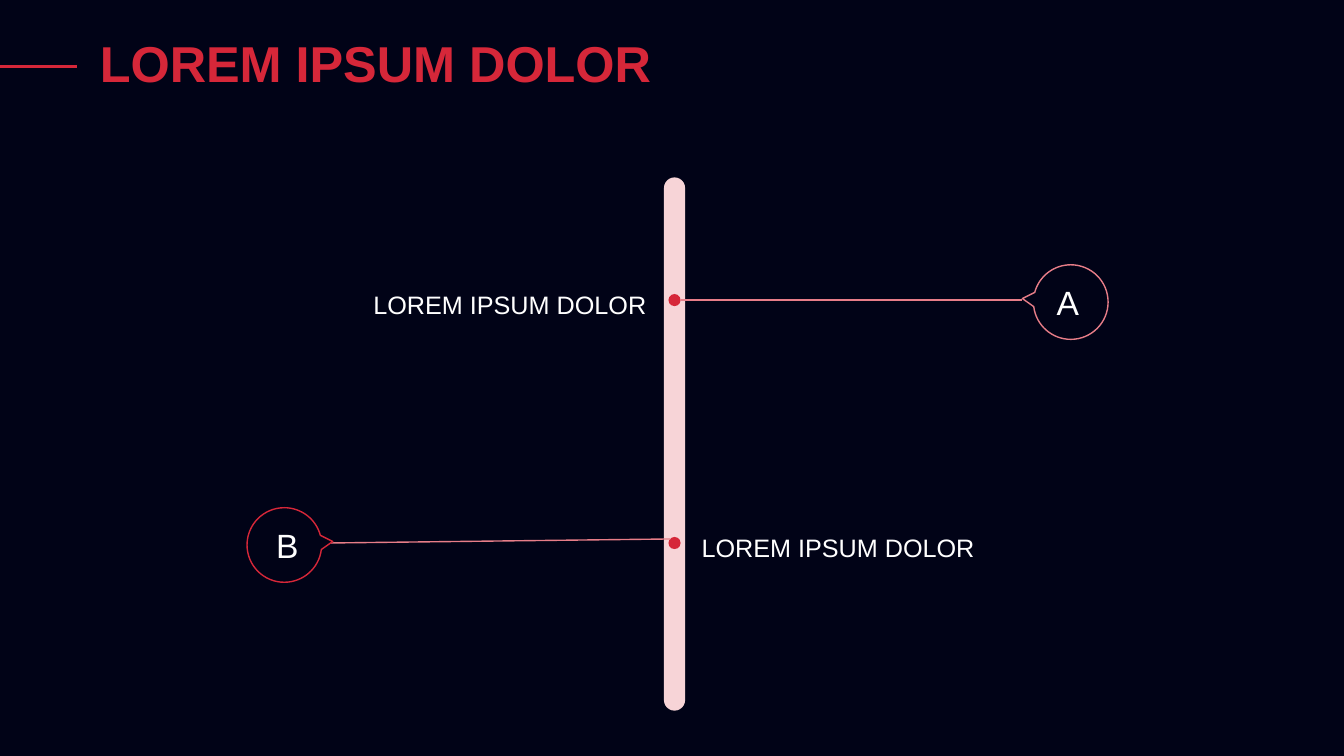
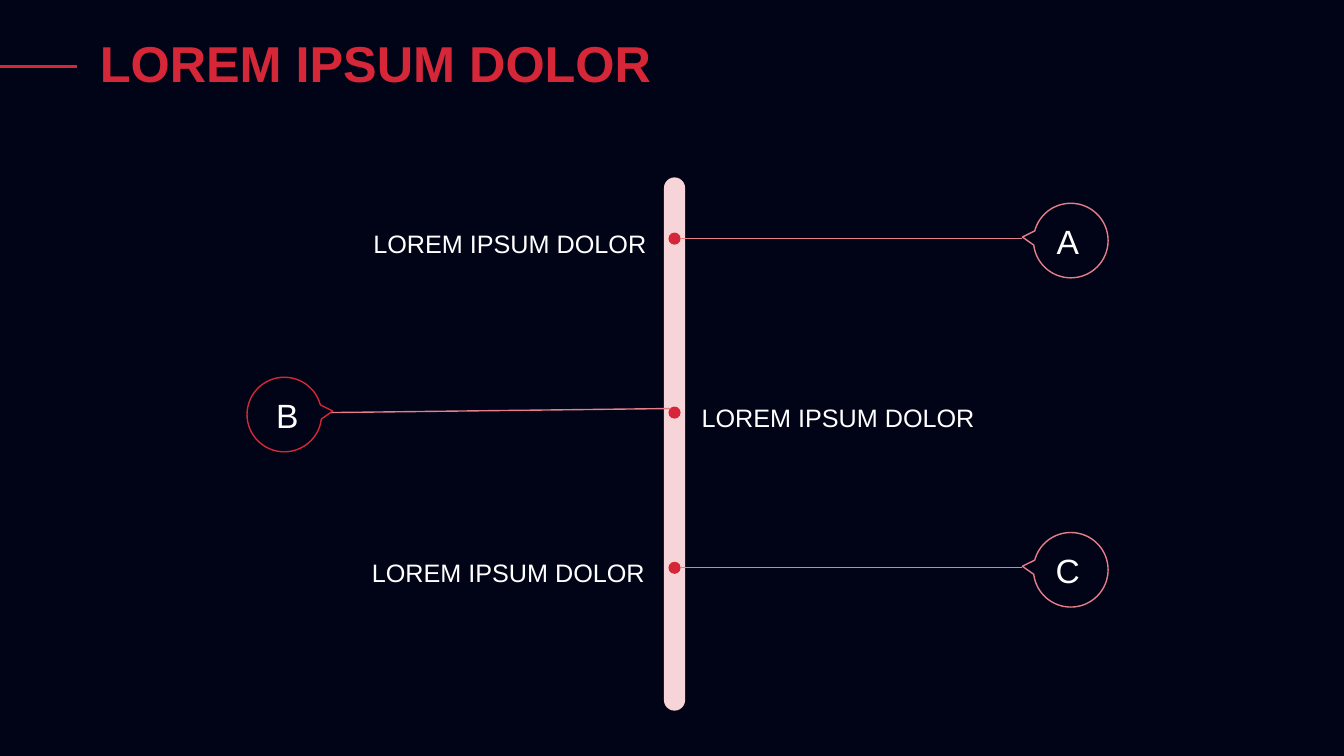
from dataclasses import dataclass
from itertools import pairwise
from math import cos, radians, sin, tan

from lxml import etree
from pptx import Presentation
from pptx.dml.color import RGBColor
from pptx.enum.shapes import MSO_CONNECTOR, MSO_SHAPE
from pptx.enum.text import MSO_ANCHOR, MSO_AUTO_SIZE, PP_ALIGN
from pptx.oxml.ns import qn
from pptx.util import Inches, Pt

STRAIGHT = MSO_CONNECTOR.STRAIGHT
OVAL, ROUNDED = MSO_SHAPE.OVAL, MSO_SHAPE.ROUNDED_RECTANGLE
MIDDLE, NO_FIT = MSO_ANCHOR.MIDDLE, MSO_AUTO_SIZE.NONE
LEFT, CENTER, RIGHT = PP_ALIGN.LEFT, PP_ALIGN.CENTER, PP_ALIGN.RIGHT

COLORS = {
    "night": "010317",
    "red": "D62739",
    "rose": "E77D88",
    "blush": "F7D4D7",
    "white": "FFFFFF",
}
FONT = "Arial"
TITLE = "LOREM IPSUM DOLOR"
LABEL = "LOREM IPSUM DOLOR"
TITLE_ONLY = 5

CELL = 0.1
SPINE_X, SPINE_TOP, SPINE_WIDTH, SPINE_HEIGHT = 66.9, 17.6, 2.1, 52.9
DOT_SIZE = 1.2
BUBBLE_RADIUS, BUBBLE_DROP = 3.7, 0.2
POINTER_REACH, POINTER_RISE = 4.8, 0.35
ARC_ANGLES = (195, 270, 360, 450, 533)
LABEL_WIDTH, LABEL_HEIGHT = 46.6, 8.8


@dataclass(frozen=True)
class Milestone:
    letter: str
    row: float
    bubble_x: float
    outline: str
    line_start: float
    line_end: float
    label_edge: float
    line_rise: float = 0

    @property
    def side(self) -> int:
        return 1 if self.bubble_x > SPINE_X else -1


def right_milestone(letter: str, row: float, label_edge: float = 65.1) -> Milestone:
    return Milestone(letter, row, 106.2, "rose", 67.5, 101.4, label_edge)


def left_milestone(letter: str, row: float) -> Milestone:
    return Milestone(letter, row, 28.2, "red", 66.5, 32.85, 68.6, 0.4)


TIMELINES = [
    [right_milestone("A", 29.77), left_milestone("B", 53.87)],
    [right_milestone("A", 23.67), left_milestone("B", 40.93), right_milestone("C", 56.33, 64.95)],
]


def cells(count: float) -> int:
    return Inches(count * CELL)


def color(name: str) -> RGBColor:
    return RGBColor.from_string(COLORS[name])


def style_text(shape, text: str, size: float, tint: str, align, spacing=None, bold=False) -> None:
    frame = shape.text_frame
    frame.word_wrap = True
    frame.auto_size = NO_FIT
    frame.vertical_anchor = MIDDLE
    frame.text = text
    paragraph = frame.paragraphs[0]
    paragraph.alignment = align
    paragraph.line_spacing = spacing
    font = paragraph.font
    font.name, font.size, font.bold = FONT, Pt(size), bold
    font.color.rgb = color(tint)


def add_line(shapes, start: tuple, end: tuple, tint: str, weight: float):
    line = shapes.add_connector(STRAIGHT, *map(cells, start + end))
    line.line.color.rgb = color(tint)
    line.line.width = Pt(weight)
    etree.SubElement(line.element.spPr, qn("a:effectLst"))
    return line


def add_solid(shapes, preset, center: tuple, size: tuple, tint: str):
    left, top = (middle - length / 2 for middle, length in zip(center, size))
    solid = shapes.add_shape(preset, *map(cells, (left, top, *size)))
    solid.shadow.inherit = False
    solid.fill.solid()
    solid.fill.fore_color.rgb = color(tint)
    solid.line.fill.background()
    return solid


def arc_controls(start: float, end: float) -> list:
    first, last = radians(start), radians(end)
    pull = 4 / 3 * tan((last - first) / 4)
    units = [
        (cos(first) - pull * sin(first), sin(first) + pull * cos(first)),
        (cos(last) + pull * sin(last), sin(last) - pull * cos(last)),
        (cos(last), sin(last)),
    ]
    return [(BUBBLE_RADIUS * x, BUBBLE_RADIUS * y) for x, y in units]


def add_bubble(shapes, item: Milestone) -> None:
    center_y = item.row + BUBBLE_DROP

    def place(dx: float, dy: float) -> tuple:
        return cells(item.bubble_x + item.side * dx), cells(center_y + dy)

    rim = [
        place(BUBBLE_RADIUS * cos(radians(angle)), BUBBLE_RADIUS * sin(radians(angle)))
        for angle in ARC_ANGLES
    ]
    outline = shapes.build_freeform(*place(-POINTER_REACH, -POINTER_RISE))
    outline.add_line_segments(rim, close=True)
    bubble = outline.convert_to_shape()
    chords = list(bubble.element.iter(qn("a:lnTo")))[1:len(rim)]
    for chord, (start, end) in zip(chords, pairwise(ARC_ANGLES)):
        curve = etree.Element(qn("a:cubicBezTo"))
        for x, y in (place(*point) for point in arc_controls(start, end)):
            etree.SubElement(curve, qn("a:pt"), x=str(x - bubble.left), y=str(y - bubble.top))
        chord.getparent().replace(chord, curve)
    bubble.shadow.inherit = False
    bubble.fill.background()
    bubble.line.color.rgb = color(item.outline)
    bubble.line.width = Pt(1)
    frame = bubble.text_frame
    frame.margin_top = frame.margin_bottom = 0
    frame.margin_left = cells(0.5) if item.side > 0 else 0
    frame.margin_right = cells(0.5) if item.side < 0 else 0
    style_text(bubble, item.letter, 24, "white", CENTER)


def add_milestone(slide, item: Milestone) -> None:
    shapes = slide.shapes.add_group_shape().shapes
    add_solid(shapes, OVAL, (SPINE_X, item.row), (DOT_SIZE, DOT_SIZE), "red")
    add_line(
        shapes,
        (item.line_start, item.row - item.line_rise),
        (item.line_end, item.row),
        "rose",
        1,
    )
    add_bubble(shapes, item)
    label_left = item.label_edge - (LABEL_WIDTH if item.side > 0 else 0)
    label_top = item.row - LABEL_HEIGHT / 2
    label = shapes.add_textbox(*map(cells, (label_left, label_top, LABEL_WIDTH, LABEL_HEIGHT)))
    style_text(label, LABEL, 18, "white", RIGHT if item.side > 0 else LEFT, 1.3)


def add_title(slide) -> None:
    title = slide.shapes.title
    title.left, title.top, title.width, title.height = map(cells, (9.2, 1.9, 115, 9.4))
    frame = title.text_frame
    frame.margin_left = frame.margin_right = cells(0.7)
    frame.margin_top = frame.margin_bottom = cells(0.4)
    style_text(title, TITLE, 36, "red", LEFT, 0.9, True)


def add_timeline(prs, layout, milestones: list):
    slide = prs.slides.add_slide(layout)
    add_title(slide)
    spine_center = (SPINE_X, SPINE_TOP + SPINE_HEIGHT / 2)
    spine = add_solid(slide.shapes, ROUNDED, spine_center, (SPINE_WIDTH, SPINE_HEIGHT), "blush")
    spine.adjustments[0] = 0.5
    for item in milestones:
        add_milestone(slide, item)
    return slide


def share_backdrop(layout, slide) -> None:
    fill = layout.background.fill
    fill.solid()
    fill.fore_color.rgb = color("night")
    rule = add_line(slide.shapes, (0, 6.6), (7.65, 6.6), "red", 2.25)
    layout.shapes.element.append(rule.element)


def main() -> None:
    prs = Presentation()
    prs.slide_width, prs.slide_height = Inches(13.33), Inches(7.5)
    layout = prs.slide_layouts[TITLE_ONLY]
    slides = [add_timeline(prs, layout, milestones) for milestones in TIMELINES]
    share_backdrop(layout, slides[0])
    prs.save("out.pptx")


if __name__ == "__main__":
    main()
